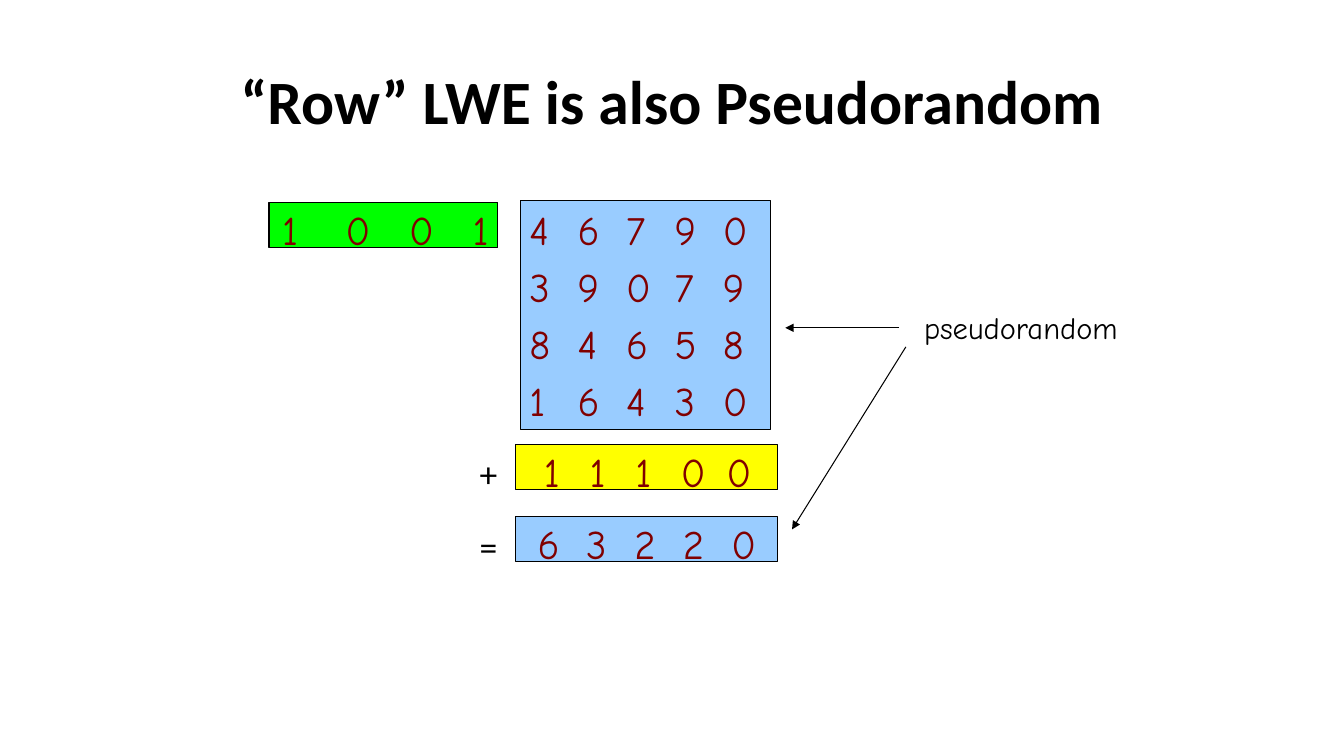
import pptx
import pptx.dml.color
import pptx.enum.shapes
import pptx.enum.text
import pptx.util
from pptx.oxml.ns import qn

Cm = pptx.util.Cm
Pt = pptx.util.Pt
ANCHOR = pptx.enum.text.MSO_ANCHOR
ALIGN = pptx.enum.text.PP_ALIGN
COLORS = {"ink": "000000", "digit": "800000", "sample": "99CCFF",
          "secret": "00FF00", "error": "FFFF00"}


class LweSlide:
    """Draws the parts of the LWE slide in one shared style."""

    def __init__(self, slide):
        self.slide = slide

    def color(self, name):
        return pptx.dml.color.RGBColor.from_string(COLORS[name])

    def set_text(self, shape, lines, size, font="Comic Neue", color="ink", bold=False,
                 align=ALIGN.LEFT, anchor=ANCHOR.TOP, left=0.23, top=0.1,
                 spacing=1.17, pitch=None):
        frame = shape.text_frame
        frame.text = "\n".join(lines)
        frame.word_wrap = True
        frame.vertical_anchor = anchor
        frame.margin_left, frame.margin_right = Cm(left), 0
        frame.margin_top, frame.margin_bottom = Cm(top), Cm(0.1)
        for paragraph in frame.paragraphs:
            paragraph.alignment = align
            paragraph.line_spacing = spacing
            if pitch:
                self.add_tabs(paragraph, pitch)
            for run in paragraph.runs:
                run.font.name = font
                run.font.size = Pt(size)
                run.font.bold = bold
                run.font.color.rgb = self.color(color)

    def add_tabs(self, paragraph, pitch):
        properties = paragraph._p.get_or_add_pPr()
        stops = properties.makeelement(qn("a:tabLst"), {})
        properties.append(stops)
        for column in range(1, 5):
            stop = stops.makeelement(
                qn("a:tab"), {"pos": str(int(Cm(column * pitch))), "algn": "l"})
            stops.append(stop)

    def label(self, box, lines, size, **style):
        text = self.slide.shapes.add_textbox(*map(Cm, box))
        self.set_text(text, lines, size, **style)

    def block(self, box, fill):
        block = self.slide.shapes.add_shape(
            pptx.enum.shapes.MSO_SHAPE.RECTANGLE, *map(Cm, box))
        block.shadow.inherit = False
        block.fill.solid()
        block.fill.fore_color.rgb = self.color(fill)
        block.line.color.rgb = self.color("ink")
        block.line.width = Pt(0.75)
        return block

    def vector(self, box, fill, digits, left, pitch):
        self.set_text(self.block(box, fill), ["\t".join(digits)], 29, color="digit",
                      anchor=ANCHOR.MIDDLE, left=left, pitch=pitch)

    def arrow(self, start, end):
        arrow = self.slide.shapes.add_connector(
            pptx.enum.shapes.MSO_CONNECTOR.STRAIGHT, *map(Cm, start + end))
        arrow.line.color.rgb = self.color("ink")
        arrow.line.width = Pt(0.75)
        line = arrow.line._get_or_add_ln()
        line.append(line.makeelement(qn("a:tailEnd"), {"type": "triangle"}))
        properties = arrow._element.spPr
        properties.append(properties.makeelement(qn("a:effectLst"), {}))


def main():
    deck = pptx.Presentation()
    deck.slide_width, deck.slide_height = Cm(33.87), Cm(19.05)
    lwe = LweSlide(deck.slides.add_slide(deck.slide_layouts[6]))

    lwe.label((5.51, 0.38, 22.86, 3.94), ["“Row” LWE is also Pseudorandom"], 44,
              font="Calibri", bold=True, align=ALIGN.CENTER,
              anchor=ANCHOR.MIDDLE, left=0)

    lwe.block((13.11, 5.05, 6.32, 5.77), "sample")
    matrix = ["46790", "39079", "84658", "16430"]
    lwe.label((13.11, 4.85, 6.32, 5.94), ["\t".join(row) for row in matrix], 29,
              color="digit", pitch=1.22)

    lwe.vector((6.78, 5.1, 5.77, 1.14), "secret", "1001", 0.33, 1.6)
    sums = [("+", 11.2, "error", "11100", 0.71, 1.15),
            ("=", 13.02, "sample", "63220", 0.55, 1.22)]
    for sign, top, fill, digits, left, pitch in sums:
        lwe.label((11.86, top + 0.02, 1.14, 1.22), [sign], 25.4, font="Calibri",
                  top=0.18, spacing=1)
        lwe.vector((13, top, 6.6, 1.14), fill, digits, left, pitch)

    lwe.label((23.06, 7.54, 5.77, 1.3), ["pseudorandom"], 21.8)
    lwe.arrow((22.66, 8.26), (19.79, 8.26))
    lwe.arrow((22.83, 8.74), (19.96, 13.34))

    deck.save("out.pptx")


if __name__ == "__main__":
    main()
